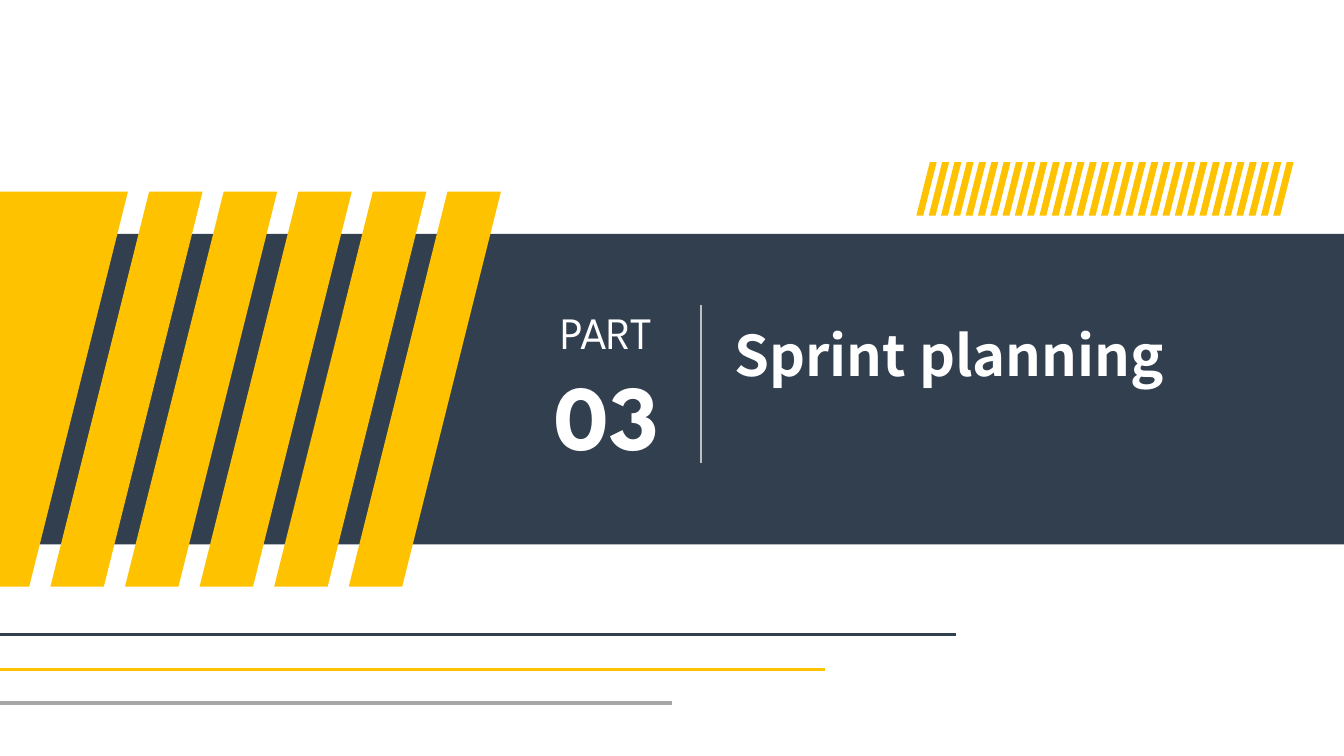
from lxml.etree import SubElement
from pptx import Presentation
from pptx.dml.color import RGBColor
from pptx.enum.shapes import MSO_CONNECTOR, MSO_SHAPE
from pptx.enum.text import MSO_AUTO_SIZE, PP_ALIGN
from pptx.oxml.ns import qn
from pptx.util import Pt

COLORS = {
    "navy": "323F4F",
    "yellow": "FFC200",
    "gray": "A6A6A6",
    "silver": "BFBFBF",
    "white": "FFFFFF",
}


class SlideBuilder:
    def __init__(self, prs):
        self.slide = prs.slides.add_slide(prs.slide_layouts[6])
        self.shapes = self.slide.shapes

    def color(self, name):
        return RGBColor.from_string(COLORS[name])

    def paint(self, sp, color):
        sp.shadow.inherit = False
        sp.fill.solid()
        sp.fill.fore_color.rgb = self.color(color)
        sp.line.fill.background()

    def rect(self, x, y, w, h, color):
        sp = self.shapes.add_shape(MSO_SHAPE.RECTANGLE, Pt(x), Pt(y), Pt(w), Pt(h))
        self.paint(sp, color)

    def stripe(self, x, y, w, h, slant, color):
        points = [(x + slant, y), (x + slant + w, y), (x + w, y + h), (x, y + h)]
        points = [(Pt(px), Pt(py)) for px, py in points]
        builder = self.shapes.build_freeform(*points[0])
        builder.add_line_segments(points[1:], close=True)
        self.paint(builder.convert_to_shape(), color)

    def line(self, x1, y1, x2, y2, color, width):
        cn = self.shapes.add_connector(
            MSO_CONNECTOR.STRAIGHT, Pt(x1), Pt(y1), Pt(x2), Pt(y2))
        cn.line.color.rgb = self.color(color)
        cn.line.width = Pt(width)
        SubElement(cn._element.spPr, qn("a:effectLst"))

    def text(self, x, y, w, h, lines, align, color, **common):
        tf = self.shapes.add_textbox(Pt(x), Pt(y), Pt(w), Pt(h)).text_frame
        tf.word_wrap = False
        tf.auto_size = MSO_AUTO_SIZE.SHAPE_TO_FIT_TEXT
        for i, (content, style) in enumerate(lines):
            p = tf.add_paragraph() if i else tf.paragraphs[0]
            p.alignment = align
            r = p.add_run()
            r.text = content
            r.font.color.rgb = self.color(color)
            for key, value in {**common, **style}.items():
                setattr(r.font, key, value)


def main():
    prs = Presentation()
    prs.slide_width, prs.slide_height = Pt(960), Pt(540)
    s = SlideBuilder(prs)

    s.rect(0, 167.04, 960, 221.76, "navy")
    for i in range(5):
        s.stripe(36 + i * 53.28, 136.8, 38.16, 282.24, 70.56, "yellow")
    s.stripe(-81.36, 136.8, 102.24, 282.24, 70.56, "yellow")

    for y, length, color in [
        (453.3, 683, "navy"),
        (478, 589.3, "yellow"),
        (502.2, 480, "gray"),
    ]:
        s.line(0, y, length, y, color, 2.25)

    for i in range(30):
        s.stripe(909.5 - i * 8.79, 115.92, 4.9, 38.16, 9.6, "yellow")

    s.line(500.6, 217.6, 500.6, 330.5, "silver", 1.5)
    s.text(388.08, 213.84, 90.72, 126,
           [("PART", {"size": Pt(32)}), ("03", {"size": Pt(66), "bold": True})],
           PP_ALIGN.CENTER, "white", name="League Spartan")
    s.text(517.68, 225.36, 323.28, 55.44, [("Sprint planning", {"size": Pt(40)})],
           PP_ALIGN.LEFT, "white", name="Noto Sans CJK SC", bold=True)

    prs.save("out.pptx")


if __name__ == "__main__":
    main()
